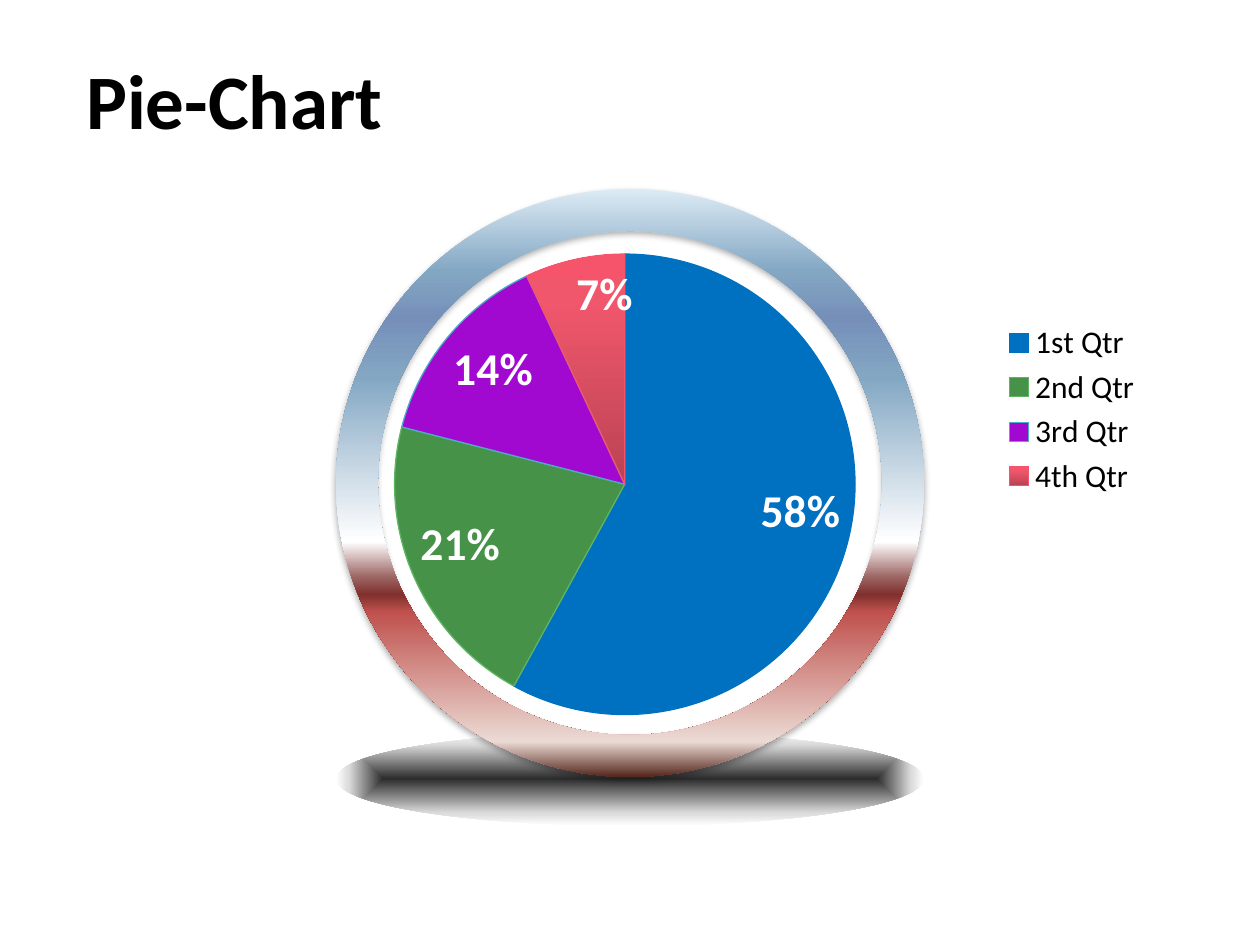
from lxml import etree
from pptx import Presentation
from pptx.chart.data import CategoryChartData
from pptx.dml.color import RGBColor
from pptx.enum.chart import XL_CHART_TYPE, XL_LABEL_POSITION, XL_LEGEND_POSITION
from pptx.enum.shapes import MSO_SHAPE
from pptx.enum.text import MSO_ANCHOR, PP_ALIGN
from pptx.oxml import parse_xml
from pptx.oxml.ns import nsdecls, qn
from pptx.util import Pt

PIE = XL_CHART_TYPE.PIE
INSIDE_END = XL_LABEL_POSITION.INSIDE_END
RIGHT = XL_LEGEND_POSITION.RIGHT
OVAL, DONUT = MSO_SHAPE.OVAL, MSO_SHAPE.DONUT
MIDDLE, LEFT = MSO_ANCHOR.MIDDLE, PP_ALIGN.LEFT

FONT = "Calibri"
COLORS = {"text": "000000", "label": "FFFFFF", "disc": "FFFFFF"}

# Gradient stops: position in percent, colour
FLOOR_STOPS = [(0, "2C2C2C"), (72, "DADADA"), (100, "FFFFFF")]
RING_STOPS = [(0, "DCEBF5"), (14, "83A7C3"), (22, "768FB9"), (32, "83A7C3"),
              (60, "FFFFFF"), (66, "9C6563"), (69, "80302D"), (72, "C0524E"),
              (94, "EBDAD4"), (100, "55261C")]
SLICE_STOPS = [(0, "B94353"), (80, "F1576C"), (100, "F5546B")]

# Category, share, fill (colour or gradient stops), outline
SLICES = [("1st Qtr", 58, "0070C0", "0070C0"),
          ("2nd Qtr", 21, "479249", "5FB562"),
          ("3rd Qtr", 14, "A109D1", "4BACC6"),
          ("4th Qtr", 7, SLICE_STOPS, "F5546B")]


def rgb(color):
    return RGBColor.from_string(color)


def format_font(font, size, color, bold=False):
    font.name, font.size, font.bold = FONT, Pt(size), bold
    font.color.rgb = rgb(color)


def set_gradient(fill, owner, stops, angle=None):
    """Fill with the stops, along an angle or, without one, from the centre."""
    fill.gradient()
    gradient = owner.find(".//" + qn("a:gradFill"))
    marks = "".join(f'<a:gs pos="{position * 1000}"><a:srgbClr val="{color}"/></a:gs>'
                    for position, color in stops)
    if angle is None:
        course = ('<a:path path="shape"><a:fillToRect l="50000" t="50000" '
                  'r="50000" b="50000"/></a:path>')
    else:
        course = f'<a:lin ang="{angle * 60000}" scaled="0"/>'
    gradient.getparent().replace(gradient, parse_xml(
        f'<a:gradFill {nsdecls("a")} rotWithShape="1">'
        f'<a:gsLst>{marks}</a:gsLst>{course}</a:gradFill>'))


def add_round(page, kind, left, top, width, height):
    shape = page.shapes.add_shape(kind, Pt(left), Pt(top), Pt(width), Pt(height))
    shape.shadow.inherit = False
    shape.line.fill.background()
    return shape


def add_soft_shadow(shape):
    effects = shape.element.spPr.find(qn("a:effectLst"))
    effects.append(parse_xml(
        f'<a:outerShdw {nsdecls("a")} blurRad="{Pt(3.5)}" dist="{Pt(2.2)}" '
        'dir="5400000" rotWithShape="0"><a:srgbClr val="000000">'
        '<a:alpha val="32000"/></a:srgbClr></a:outerShdw>'))


def add_frame(page):
    floor = add_round(page, OVAL, 192, 418, 336, 54)
    set_gradient(floor.fill, floor.element, FLOOR_STOPS)

    disc = add_round(page, OVAL, 216, 132, 288, 288)
    disc.fill.solid()
    disc.fill.fore_color.rgb = rgb(COLORS["disc"])

    ring = add_round(page, DONUT, 192, 108, 336, 336)
    ring.adjustments[0] = 24 / 336
    set_gradient(ring.fill, ring.element, RING_STOPS, 90)
    add_soft_shadow(ring)


def set_plot_area(chart_space, x, y, width, height):
    """Clear the chart background and place the inner plot area."""
    chart_space.find(qn("c:chart")).addnext(parse_xml(
        f'<c:spPr {nsdecls("c", "a")}><a:noFill/><a:ln><a:noFill/></a:ln></c:spPr>'))
    area = chart_space.find(".//" + qn("c:plotArea"))
    for old in area.findall(qn("c:layout")):
        area.remove(old)
    layout = etree.Element(qn("c:layout"))
    manual = etree.SubElement(layout, qn("c:manualLayout"))
    for tag, value in (("layoutTarget", "inner"), ("xMode", "edge"), ("yMode", "edge"),
                       ("x", x), ("y", y), ("w", width), ("h", height)):
        etree.SubElement(manual, qn("c:" + tag)).set("val", str(value))
    area.insert(0, layout)


def add_pie(page):
    data = CategoryChartData()
    data.categories = [name for name, *_ in SLICES]
    data.add_series("Series 1", [share for _, share, *_ in SLICES])
    chart = page.shapes.add_chart(PIE, Pt(48), Pt(30), Pt(612), Pt(408), data).chart
    chart.has_title = False
    format_font(chart.font, 18, COLORS["text"])
    chart.has_legend = True
    chart.legend.position = RIGHT
    chart.legend.include_in_layout = False

    # Slices
    plot = chart.plots[0]
    plot.vary_by_categories = True
    for index, (_, _, fill, outline) in enumerate(SLICES):
        look = plot.series[0].points[index].format
        look.line.color.rgb = rgb(outline)
        look.line.width = Pt(0.75)
        if isinstance(fill, str):
            look.fill.solid()
            look.fill.fore_color.rgb = rgb(fill)
        else:
            set_gradient(look.fill, chart._chartSpace, fill, 270)

    # Percent labels
    labels = plot.series[0].data_labels
    labels.show_percentage, labels.show_value = True, False
    labels.number_format, labels.number_format_is_linked = "0%", False
    labels.position = INSIDE_END
    format_font(labels.font, 26, COLORS["label"], bold=True)
    set_plot_area(chart._chartSpace, 0.29, 0.28, 0.43, 0.65)


def add_title(page, text):
    title = page.shapes.title
    title.left, title.top, title.width, title.height = Pt(42), Pt(11.5), Pt(360), Pt(90)
    frame = title.text_frame
    frame.text = text
    frame.vertical_anchor = MIDDLE
    para = frame.paragraphs[0]
    para.alignment = LEFT
    format_font(para.runs[0].font, 44, COLORS["text"], bold=True)
    title.element.getparent().append(title.element)  # bring to front


def main():
    deck = Presentation()
    deck.slide_width, deck.slide_height = Pt(720), Pt(540)
    page = deck.slides.add_slide(deck.slide_layouts[5])
    add_frame(page)
    add_pie(page)
    add_title(page, "Pie-Chart")
    deck.save("out.pptx")


if __name__ == "__main__":
    main()
